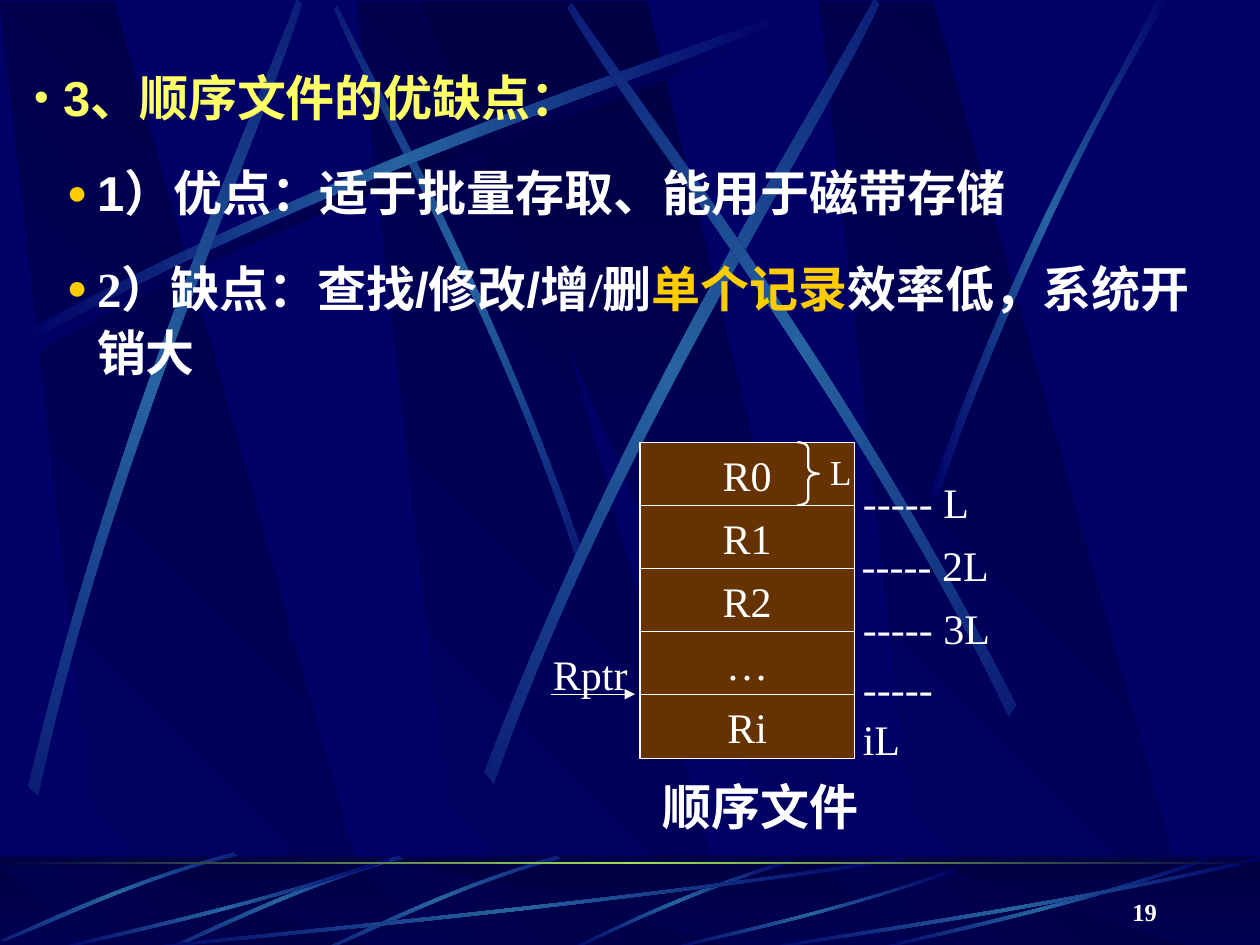
from dataclasses import dataclass

from lxml import etree
from pptx import Presentation
from pptx import util as u
from pptx.dml import color
from pptx.enum import shapes, text
from pptx.oxml import ns


@dataclass(frozen=True)
class Theme:
    navy: str = "000066"
    night: str = "000044"
    streak: str = "2663A0"
    lime: str = "9CE157"
    brown: str = "663300"
    white: str = "FFFFFF"
    yellow: str = "FFFF66"
    gold: str = "FFCC00"
    serif: str = "Times New Roman"
    sans: str = "Arial"
    heading: int = 28
    label: int = 24
    small: int = 20
    footer: int = 14


THEME = Theme()
DARK = (THEME.navy, THEME.night, THEME.navy)
BLUE = (THEME.navy, THEME.streak, THEME.navy)
LIME = (THEME.night, THEME.lime, THEME.night)
FALL = (THEME.navy, THEME.night)
RISE = FALL[::-1]

BEAM = [(0.28, 1), (1, 1), (0.3, 0), (0, 0)]
WEDGE = [(0, 0), (0.9, 1), (1, 1), (0.5, 0)]
RIBBON = [(0, 0.96), (0.43, 0.43), (0.83, 0.15), (1, 0),
          (1, 0.02), (0.84, 0.19), (0.38, 0.5), (0, 1)]
FAN = [(1, 0), (0.5, 0.37), (0.16, 0.82), (0, 1),
       (0.03, 1), (0.23, 0.75), (0.68, 0.25), (1, 0.04)]
SPIKE = [(0, 0.99), (0.4, 0.44), (0.79, 0.17), (0.95, 0),
         (1, 0), (0.52, 0.37), (0.16, 0.81), (0.03, 1)]


def set_values(target, values):
    for name, value in values.items():
        setattr(target, name, value)


def rgb(value):
    return color.RGBColor.from_string(value)


def add_xml(parent, tag, **values):
    return etree.SubElement(parent, ns.qn(tag), values)


def fill_gradient(shape, colors, angle):
    shape.fill.gradient()
    shape.fill.gradient_angle = angle
    stops = shape.element.xpath(".//a:gsLst")[0]
    for stop in list(stops):
        stops.remove(stop)
    for index, value in enumerate(colors):
        stop = add_xml(stops, "a:gs", pos=str(100000 * index // (len(colors) - 1)))
        add_xml(stop, "a:srgbClr", val=value)


def send_to_master(slide, shape):
    master = slide.slide_layout.slide_master
    shape.shadow.inherit = False
    shape.line.fill.background()
    shape.element.xpath(".//p:cNvPr")[0].set("id", str(100 + len(master.shapes)))
    master.shapes.element.append(shape.element)


def add_outline(slide, points, box, colors, angle=0, rotation=0):
    left, top, width, height = box
    places = [(u.Inches(left + x * width), u.Inches(top + y * height)) for x, y in points]
    builder = slide.shapes.build_freeform(*places[0], scale=1.0)
    builder.add_line_segments(places[1:], close=True)
    shape = builder.convert_to_shape()
    shape.rotation = rotation
    fill_gradient(shape, colors, angle)
    send_to_master(slide, shape)
    return shape


def bend_sides(shape):
    segments = shape.element.xpath(".//a:lnTo")
    for side in (segments[:3], segments[4:7]):
        curve = etree.Element(ns.qn("a:cubicBezTo"))
        side[0].addprevious(curve)
        for segment in side:
            curve.append(segment[0])
            segment.getparent().remove(segment)


def add_streak(slide, box, controls=RIBBON, flip="", rotation=0, colors=BLUE):
    points = [(1 - x if "h" in flip else x, 1 - y if "v" in flip else y) for x, y in controls]
    bend_sides(add_outline(slide, points, box, colors, rotation=rotation))


def add_band(slide, box, colors=None, angle=0):
    shape = slide.shapes.add_shape(shapes.MSO_SHAPE.RECTANGLE, *map(u.Inches, box))
    if colors:
        fill_gradient(shape, colors, angle)
    else:
        shape.fill.solid()
        shape.fill.fore_color.rgb = rgb(THEME.night)
        add_xml(shape.element.xpath(".//a:solidFill/a:srgbClr")[0], "a:alpha", val="50000")
    send_to_master(slide, shape)


def add_beams(slide, top, height):
    for left in (2.83, 0, 6.5):
        add_outline(slide, BEAM, (left, top, 3.02, height), FALL, angle=45)
    add_outline(slide, WEDGE, (3.33, top, 3.61, height), RISE, angle=270)


def add_backdrop(slide):
    fill = slide.slide_layout.slide_master.background.fill
    fill.solid()
    fill.fore_color.rgb = rgb(THEME.navy)
    add_beams(slide, 0.01, 7.52)
    add_streak(slide, (0.2, 0.18, 6.08, 2.67), colors=DARK)
    add_streak(slide, (1.41, 1.35, 4.42, 1.75), flip="h", rotation=45)
    add_streak(slide, (0.14, 0.1, 6.08, 2.67))
    add_streak(slide, (-1.71, 1.82, 6.08, 2.67), rotation=311.7)
    add_streak(slide, (2.31, 1.6, 6.24, 3.01), rotation=321.6)
    add_streak(slide, (3.23, 1.52, 6.08, 2.67), flip="h", rotation=34.8)
    add_streak(slide, (7.38, 0, 1.89, 3.97), SPIKE)
    add_band(slide, (0, 6.8, 10, 0.75), RISE, angle=270)
    add_beams(slide, 6.88, 0.66)
    add_band(slide, (0, 6.79, 10, 0.75))
    add_streak(slide, (4.48, 6.82, 1.8, 0.73), FAN)
    for box in ((2.58, 6.76, 1.84, 0.83), (1.33, 6.76, 1.84, 0.83), (0.05, 6.7, 1.79, 0.85)):
        add_streak(slide, box, flip="h", rotation=314.9)
    for left, width in ((1, 6.17), (0.42, 2.67), (5.27, 2.31), (6.92, 2.67), (6, 4)):
        height = 0.66 if left == 5.27 else 0.75
        add_streak(slide, (left, 7.55 - height, width, height), flip="hv")
    add_band(slide, (0, 6.84, 10, 0.02), LIME)


def add_span(para, words, size=THEME.label, name=THEME.serif, ink=THEME.white, bold=False):
    span = para.add_run()
    span.text = words
    set_values(span.font, {"size": u.Pt(size), "name": name, "bold": bold})
    span.font.color.rgb = rgb(ink)


def add_bullet(props, mark, ink, scale, margin, hang):
    for name, value in {"marL": margin, "indent": -hang}.items():
        props.set(name, str(u.Inches(value)))
    add_xml(add_xml(props, "a:buClr"), "a:srgbClr", val=ink)
    add_xml(props, "a:buSzPct", val=str(scale * 1000))
    add_xml(props, "a:buFont", typeface=THEME.sans)
    add_xml(props, "a:buChar", char=mark)


def add_points(slide):
    title = slide.shapes.title.element
    title.getparent().remove(title)
    body = slide.placeholders[1]
    set_values(body, dict(zip(("left", "top", "width", "height"),
                              map(u.Inches, (0.17, 0.44, 9.58, 2.64)))))
    frame = body.text_frame
    frame.auto_size = text.MSO_AUTO_SIZE.SHAPE_TO_FIT_TEXT
    sans, serif, white = THEME.sans, THEME.serif, THEME.white
    points = [
        [("3、顺序文件的优缺点：", sans, THEME.yellow)],
        [("1）优点：适于批量存取、能用于磁带存储", sans, white)],
        [("2）缺点：", serif, white), ("查找/修改/", sans, white), ("增/删", serif, white),
         ("单个记录", sans, THEME.gold), ("效率低，系统开销大", sans, white)],
    ]
    for index, spans in enumerate(points):
        para = frame.add_paragraph() if index else frame.paragraphs[0]
        set_values(para, {"level": min(index, 1), "line_spacing": 1.1,
                          "space_before": u.Pt(17.5 if index else 0)})
        props = body.element.xpath(".//a:p/a:pPr")[-1]
        if index:
            add_bullet(props, "●", THEME.gold, 70, 0.5, 0.24)
        else:
            add_bullet(props, "•", THEME.yellow, 85, 0.23, 0.23)
        for words, name, ink in spans:
            add_span(para, words, THEME.heading, name, ink, True)


def add_label(slide, words, box, align=text.PP_ALIGN.LEFT, **style):
    label = slide.shapes.add_textbox(*map(u.Inches, box))
    set_values(label.text_frame, {"word_wrap": False,
                                  "auto_size": text.MSO_AUTO_SIZE.SHAPE_TO_FIT_TEXT})
    para = label.text_frame.paragraphs[0]
    para.alignment = align
    add_span(para, words, **style)
    return label


def add_page_number(slide):
    label = add_label(slide, "19", (7.2, 6.9, 2.08, 0.5), text.PP_ALIGN.RIGHT,
                      size=THEME.footer, bold=True)
    set_values(label.text_frame, {"word_wrap": True, "auto_size": text.MSO_AUTO_SIZE.NONE,
                                  "vertical_anchor": text.MSO_ANCHOR.BOTTOM})


def style_line(shape, width):
    shape.line.color.rgb = rgb(THEME.white)
    shape.line.width = u.Pt(width)


def add_record(slide, words, top):
    record = slide.shapes.add_shape(shapes.MSO_SHAPE.RECTANGLE,
                                    *map(u.Inches, (5.08, top, 1.7, 0.51)))
    record.shadow.inherit = False
    record.fill.solid()
    record.fill.fore_color.rgb = rgb(THEME.brown)
    style_line(record, 0.75)
    set_values(record.text_frame, {"word_wrap": False,
                                   "vertical_anchor": text.MSO_ANCHOR.MIDDLE})
    para = record.text_frame.paragraphs[0]
    para.alignment = text.PP_ALIGN.CENTER
    add_span(para, words)


def add_brace(slide, box):
    brace = slide.shapes.add_shape(shapes.MSO_SHAPE.RIGHT_BRACE, *map(u.Inches, box))
    brace.shadow.inherit = False
    brace.fill.background()
    brace.adjustments[0] = 0.29
    style_line(brace, 1.25)


def add_arrow(slide, start, end):
    arrow = slide.shapes.add_connector(shapes.MSO_CONNECTOR.STRAIGHT,
                                       *map(u.Inches, (*start, *end)))
    style_line(arrow, 0.75)
    add_xml(arrow.element.xpath(".//a:ln")[0], "a:tailEnd", type="triangle")
    add_xml(arrow.element.xpath("./p:spPr")[0], "a:effectLst")


def add_file_diagram(slide):
    for index, words in enumerate(("R0", "R1", "R2", "…", "Ri")):
        add_record(slide, words, 3.51 + 0.5 * index)
    for words, left, top, width in (("L", 6.75, 3.73, 1.04), ("2L", 6.74, 4.23, 1.21),
                                    ("3L", 6.75, 4.73, 1.21), ("iL", 6.75, 5.21, 1.13)):
        add_label(slide, f"----- {words}", (left, top, width, 0.5))
    add_brace(slide, (6.33, 3.51, 0.17, 0.5))
    add_label(slide, "L", (6.49, 3.53, 0.37, 0.44), size=THEME.small)
    add_arrow(slide, (4.37, 5.51), (5.04, 5.51))
    add_label(slide, "Rptr", (4.29, 5.1, 0.79, 0.5))
    add_label(slide, "顺序文件", (5.16, 6.11, 1.75, 0.57), size=THEME.heading, bold=True)


def main():
    deck = Presentation()
    set_values(deck, {"slide_width": u.Inches(10), "slide_height": u.Inches(7.5)})
    slide = deck.slides.add_slide(deck.slide_layouts[1])
    add_backdrop(slide)
    add_points(slide)
    add_file_diagram(slide)
    add_page_number(slide)
    deck.save("out.pptx")


if __name__ == "__main__":
    main()
